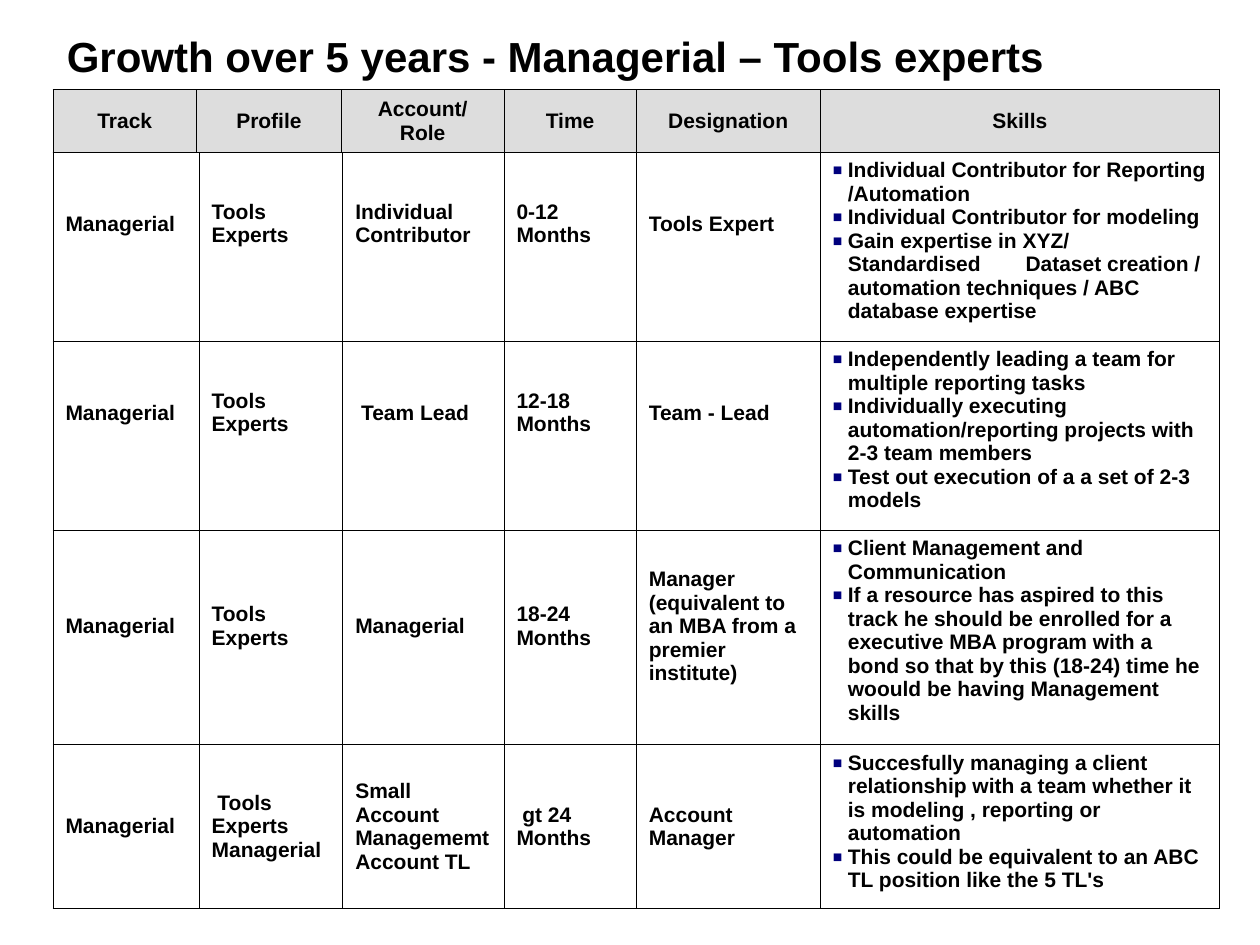
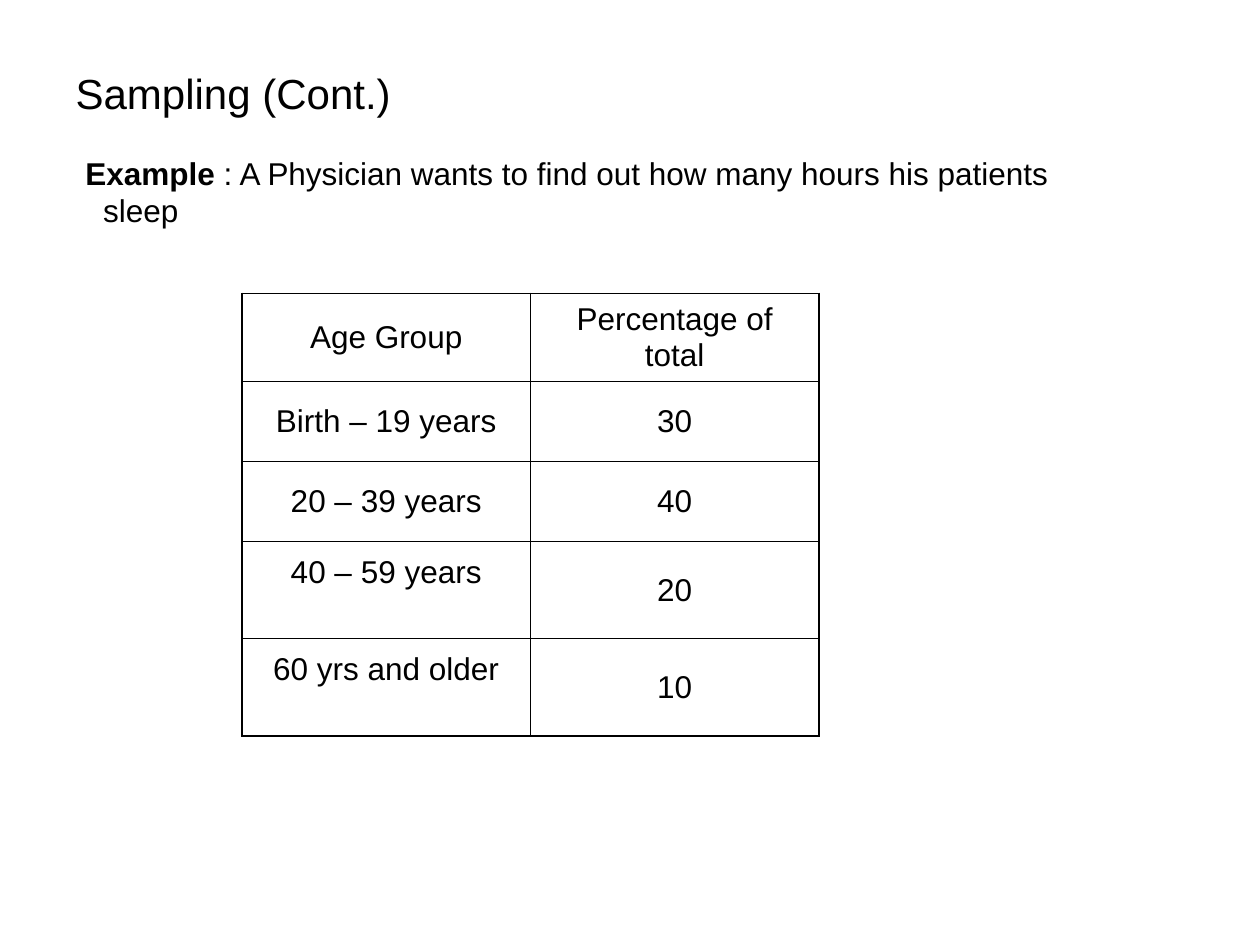
from dataclasses import dataclass
from typing import Optional

from lxml.etree import SubElement
from pptx import Presentation
from pptx.dml.color import RGBColor
from pptx.enum.text import MSO_ANCHOR, MSO_AUTO_SIZE, PP_ALIGN
from pptx.oxml import parse_xml
from pptx.oxml.ns import nsdecls, qn
from pptx.util import Inches, Pt

FONT = "Arial"
COLORS = {"text": "000000", "border": "000000", "header": "DDDDDD", "bullet": "00007D"}
THIN, THICK = 0.45, 1.08
MARGIN = 0.05


@dataclass
class Box:
    left: float
    top: float
    width: float
    height: float

    def lengths(self):
        return [Inches(value) for value in (self.left, self.top, self.width, self.height)]


@dataclass
class Cell:
    text: str
    centered: bool = False
    middle: bool = True
    bulleted: bool = False
    bottom: float = MARGIN
    tab: Optional[float] = None


@dataclass
class Grid:
    left: float
    top: float
    columns: list[float]
    rows: list[float]
    cells: list[list[Cell]]
    size: int
    bold: bool = False
    fill: Optional[str] = None
    outline: float = THIN


def set_hanging(paragraph, indent: float):
    properties = paragraph._p.get_or_add_pPr()
    properties.set("marL", str(Inches(indent)))
    properties.set("indent", str(-Inches(indent)))
    return properties


def add_bullet(paragraph) -> None:
    properties = set_hanging(paragraph, 0.12)
    color = SubElement(properties, qn("a:buClr"))
    SubElement(color, qn("a:srgbClr"), val=COLORS["bullet"])
    SubElement(properties, qn("a:buSzPct"), val="75000")
    SubElement(properties, qn("a:buFont"), typeface=FONT)
    SubElement(properties, qn("a:buChar"), char="■")


def add_tab_stop(paragraph, position: float) -> None:
    tabs = SubElement(paragraph._p.get_or_add_pPr(), qn("a:tabLst"))
    SubElement(tabs, qn("a:tab"), pos=str(Inches(position)), algn="l")


def write_text(frame, text: str, *, size: int, bold: bool = False, lead: str = "",
               align=PP_ALIGN.LEFT, bulleted: bool = False, hanging: float = 0,
               tab: Optional[float] = None) -> None:
    """Write one paragraph per line; lead is a bold opening of the first one."""
    for index, line in enumerate(text.split("\n")):
        paragraph = frame.add_paragraph() if index else frame.paragraphs[0]
        paragraph.alignment = align
        if bulleted:
            add_bullet(paragraph)
        elif hanging:
            set_hanging(paragraph, hanging)
        if tab and "\t" in line:
            add_tab_stop(paragraph, tab)
        runs = [(lead, True)] if lead and not index else []
        for content, is_bold in runs + [(line, bold)]:
            run = paragraph.add_run()
            run.text = content
            run.font.name = FONT
            run.font.size = Pt(size)
            run.font.bold = is_bold
            run.font.color.rgb = RGBColor.from_string(COLORS["text"])


def set_borders(cell, widths: dict[str, float]) -> None:
    properties = cell._tc.get_or_add_tcPr()
    for index, (side, width) in enumerate(widths.items()):
        properties.insert(index, parse_xml(
            f'<a:ln{side} {nsdecls("a")} w="{Pt(width)}"><a:solidFill>'
            f'<a:srgbClr val="{COLORS["border"]}"/></a:solidFill></a:ln{side}>'))


def add_grid(slide, grid: Grid) -> None:
    box = Box(grid.left, grid.top, sum(grid.columns), sum(grid.rows))
    last_row, last_column = len(grid.rows) - 1, len(grid.columns) - 1
    table = slide.shapes.add_table(last_row + 1, last_column + 1, *box.lengths()).table
    table.first_row = table.horz_banding = False
    for column, width in zip(table.columns, grid.columns):
        column.width = Inches(width)
    for row, height in zip(table.rows, grid.rows):
        row.height = Inches(height)
    for i, contents in enumerate(grid.cells):
        for j, content in enumerate(contents):
            cell = table.cell(i, j)
            cell.margin_top, cell.margin_bottom = Inches(MARGIN), Inches(content.bottom)
            cell.vertical_anchor = MSO_ANCHOR.MIDDLE if content.middle else MSO_ANCHOR.TOP
            write_text(cell.text_frame, content.text, size=grid.size, bold=grid.bold,
                       align=PP_ALIGN.CENTER if content.centered else PP_ALIGN.LEFT,
                       bulleted=content.bulleted, tab=content.tab)
            if grid.fill:
                cell.fill.solid()
                cell.fill.fore_color.rgb = RGBColor.from_string(grid.fill)
            else:
                cell.fill.background()
            outer = {"L": j == 0, "R": j == last_column, "T": i == 0, "B": i == last_row}
            set_borders(cell, {side: grid.outline if edge else THIN
                               for side, edge in outer.items()})


def add_titled_slide(presentation, title: str, box: Box, *, bold: bool, anchor):
    slide = presentation.slides.add_slide(presentation.slide_layouts[5])
    shape = slide.shapes.title
    shape.left, shape.top, shape.width, shape.height = box.lengths()
    shape.text_frame.auto_size = MSO_AUTO_SIZE.NONE
    shape.text_frame.vertical_anchor = anchor
    write_text(shape.text_frame, title, size=24, bold=bold)
    return slide


# Each row: height, room below the text, five short cells, then the skills.
CAREER_STEPS = [
    (1.5, 0.42,
     ["Managerial", "Tools Experts", "Individual Contributor", "0-12 Months", "Tools Expert"],
     ["Individual Contributor for Reporting /Automation",
      "Individual Contributor for modeling",
      "Gain expertise in XYZ/ Standardised\tDataset creation / "
      "automation techniques / ABC database expertise"]),
    (1.5, 0.42,
     ["Managerial", "Tools Experts", " Team Lead", "12-18 Months", "Team - Lead"],
     ["Independently leading a team for multiple reporting tasks",
      "Individually executing automation/reporting projects with 2-3 team members",
      "Test out execution of a a set of 2-3 models"]),
    (1.7, 0.23,
     ["Managerial", "Tools Experts", "Managerial", "18-24 Months",
      "Manager (equivalent to an MBA from a premier institute)"],
     ["Client Management and Communication",
      "If a resource has aspired to this track he should be enrolled for a executive MBA "
      "program with a bond so that by this (18-24) time he woould be having Management skills"]),
    (1.3, MARGIN,
     ["Managerial", " Tools Experts Managerial", "Small Account Managememt Account TL",
      " gt 24 Months", "Account Manager"],
     ["Succesfully managing a client relationship with a team whether it is modeling , "
      "reporting or automation",
      "This could be equivalent to an ABC TL position like the 5 TL's"]),
]
CAREER_HEADINGS = ["Track", "Profile", "Account/\nRole", "Time", "Designation", "Skills"]

AGE_GROUPS = [
    (0.7, "Age Group", "Percentage of total", MARGIN),
    (0.63, "Birth – 19 years", "30", MARGIN),
    (0.64, "20 – 39 years", "40", MARGIN),
    (0.77, "40 – 59 years", "20", 0.33),
    (0.77, "60 yrs and older", "10", 0.33),
]


def build_growth_slide(presentation) -> None:
    slide = add_titled_slide(presentation, "Growth over 5 years - Managerial – Tools experts",
                             Box(0.43, 0.19, 8.45, 0.5), bold=True, anchor=MSO_ANCHOR.TOP)
    left, top, header_height = 0.42, 0.71, 0.5
    add_grid(slide, Grid(
        left, top + header_height, [1.16, 1.14, 1.28, 1.05, 1.46, 3.17],
        [height for height, *_ in CAREER_STEPS],
        [[Cell(text, bottom=bottom) for text in texts]
         + [Cell("\n".join(skills), middle=False, bulleted=True, tab=1.53)]
         for _, bottom, texts, skills in CAREER_STEPS],
        size=12, bold=True))
    add_grid(slide, Grid(
        left, top, [1.14, 1.15, 1.29, 1.05, 1.46, 3.17], [header_height],
        [[Cell(heading, centered=True) for heading in CAREER_HEADINGS]],
        size=12, bold=True, fill=COLORS["header"]))


def build_sampling_slide(presentation) -> None:
    slide = add_titled_slide(presentation, "Sampling (Cont.)", Box(0.5, 0.3, 9, 0.87),
                             bold=False, anchor=MSO_ANCHOR.MIDDLE)
    add_grid(slide, Grid(
        1.92, 2.33, [2.29, 2.29], [height for height, *_ in AGE_GROUPS],
        [[Cell(group, centered=True, bottom=bottom), Cell(share, centered=True)]
         for _, group, share, bottom in AGE_GROUPS],
        size=18, outline=THICK))
    example = slide.shapes.add_textbox(*Box(0.58, 1.17, 8.17, 0.7).lengths())
    example.text_frame.word_wrap = True
    write_text(example.text_frame,
               " : A Physician wants to find out how many hours his patients sleep",
               size=18, lead="Example", hanging=0.14)


def main() -> None:
    presentation = Presentation()
    presentation.slide_width, presentation.slide_height = Inches(10), Inches(7.5)
    build_growth_slide(presentation)
    build_sampling_slide(presentation)
    presentation.save("out.pptx")


if __name__ == "__main__":
    main()
